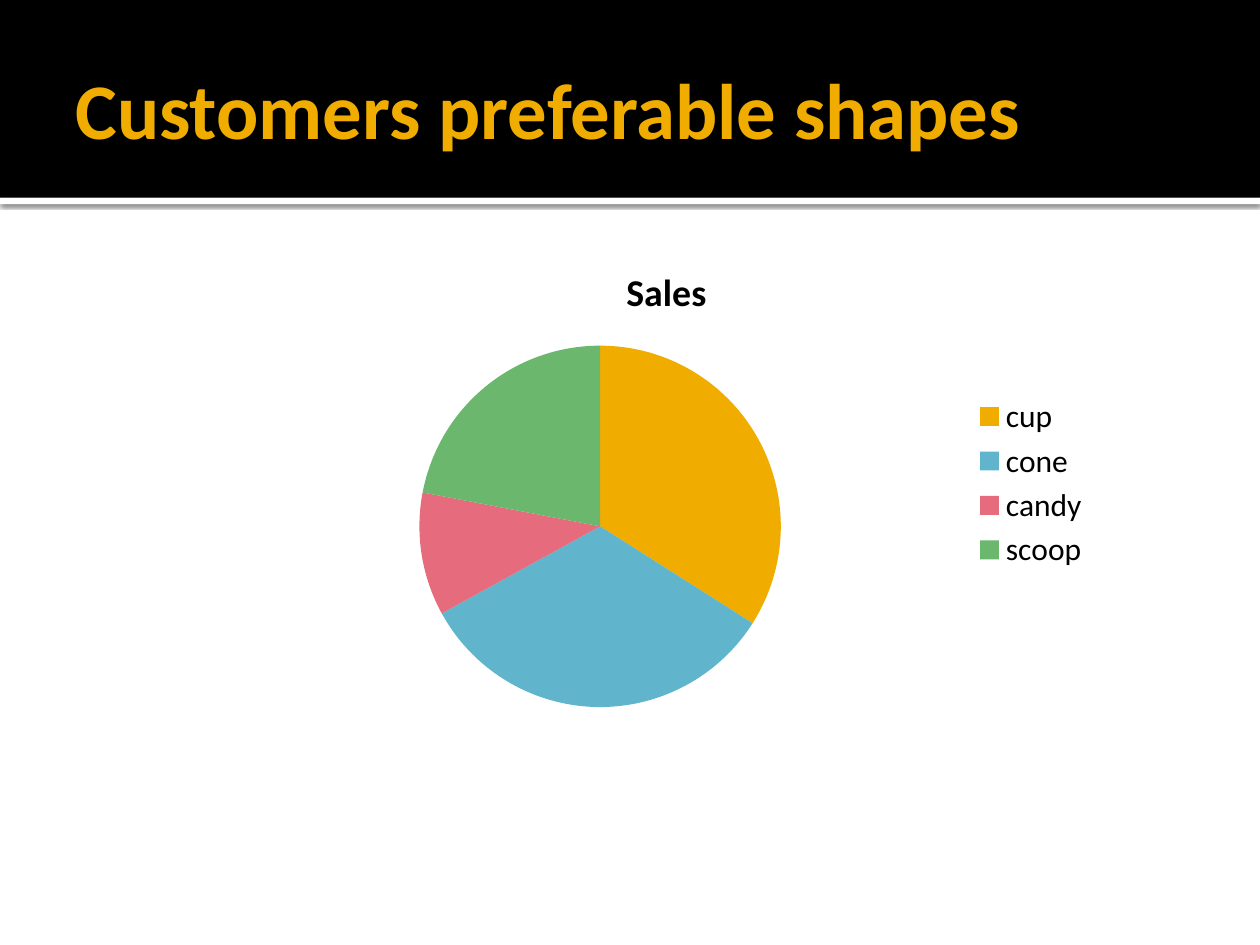
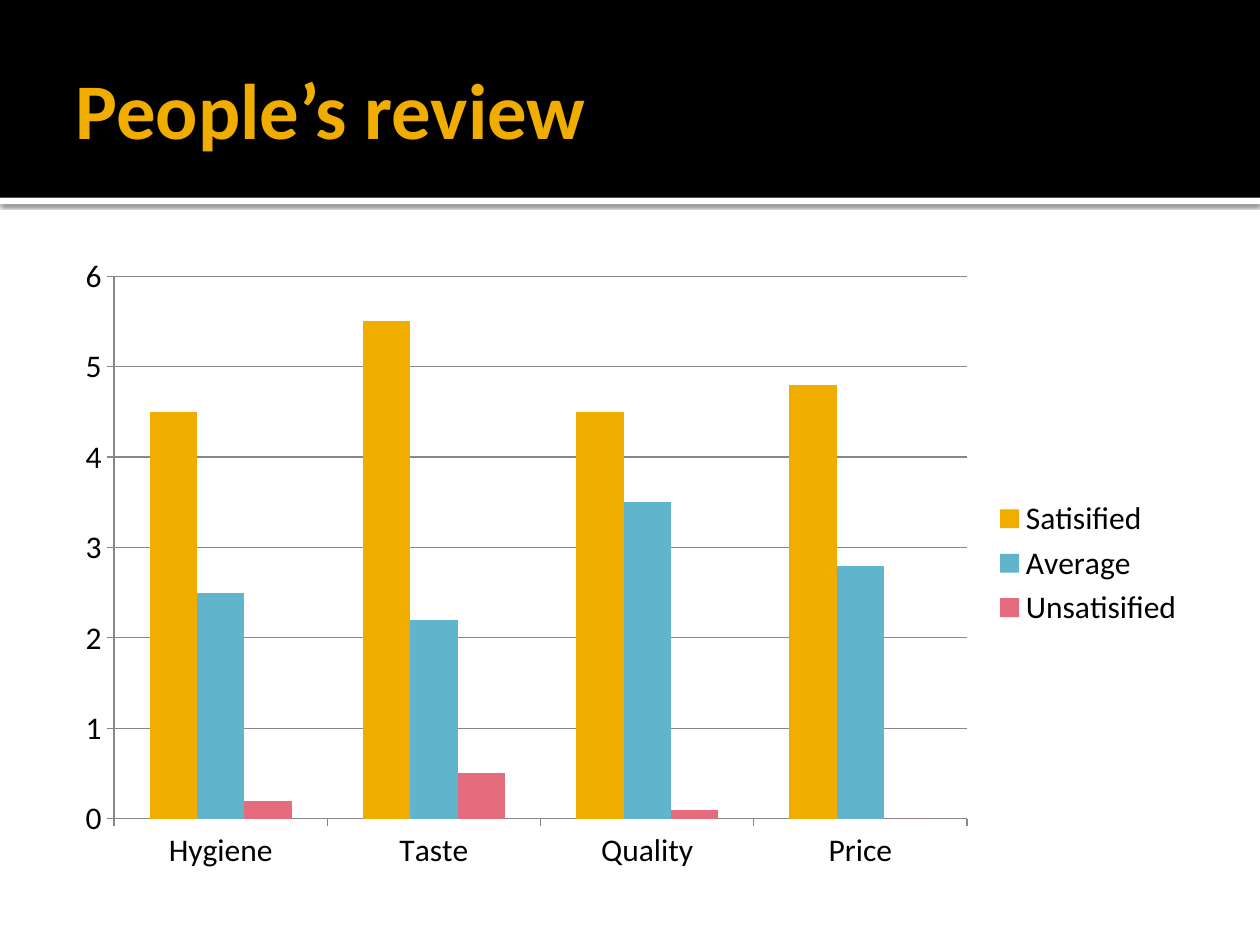
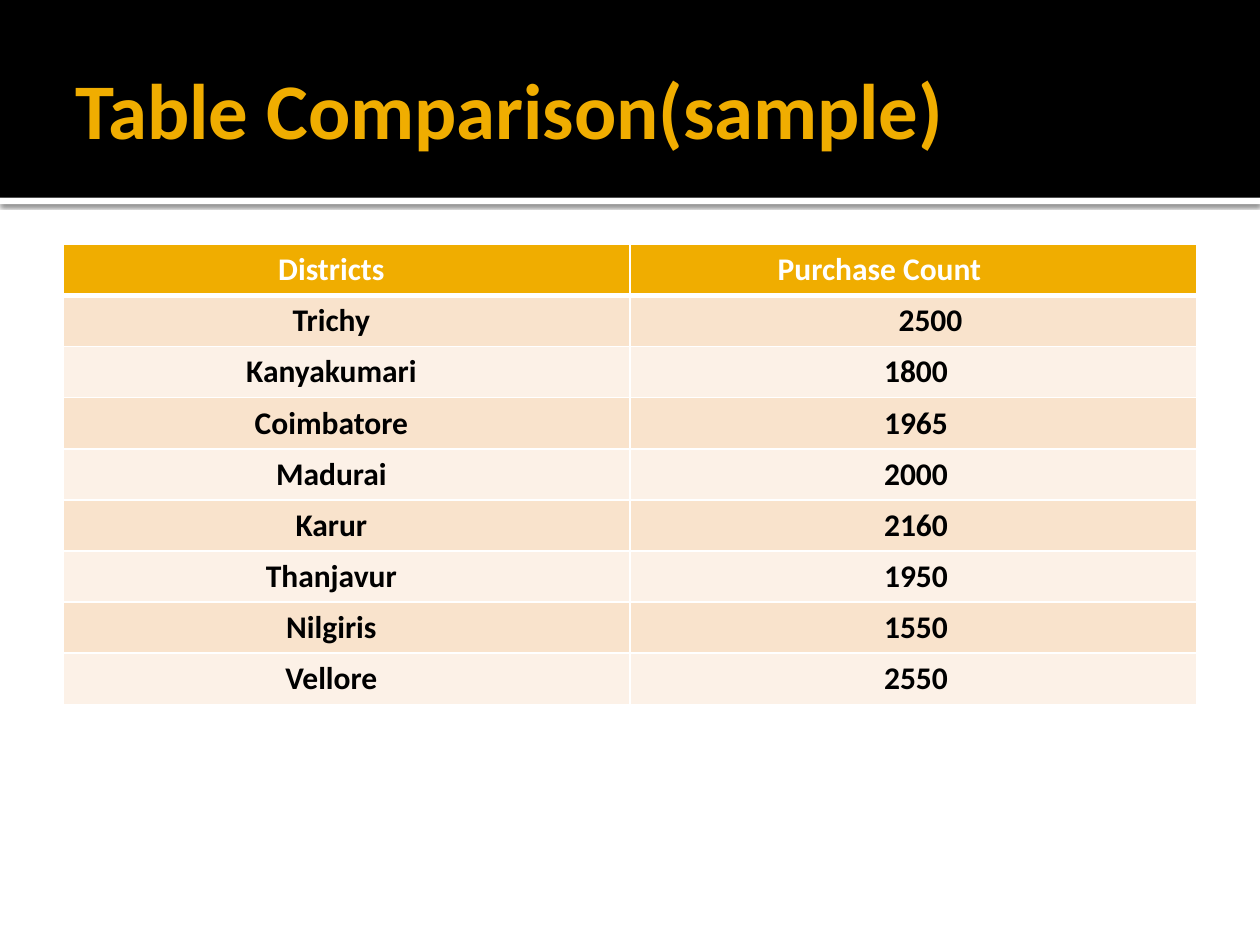
from pptx import Presentation
from pptx.chart.data import CategoryChartData
from pptx.dml.color import RGBColor
from pptx.enum.chart import XL_CHART_TYPE as CT, XL_LEGEND_POSITION as LP, XL_TICK_MARK as TM
from pptx.enum.shapes import MSO_SHAPE
from pptx.enum.text import MSO_ANCHOR, MSO_AUTO_SIZE, PP_ALIGN
from pptx.oxml import parse_xml
from pptx.oxml.ns import nsdecls
from pptx.util import Inches, Pt

FONT = "Calibri"
COLORS = {
    "black": "000000", "white": "FFFFFF", "gold": "F0AD00", "blue": "60B5CC",
    "pink": "E66C7D", "green": "6BB76D", "axis": "878787",
    "row_dark": "F9E3CC", "row_light": "FCF1E7",
}
SERIES = ["gold", "blue", "pink", "green"]
BAND_H = 1.57


def rgb(name):
    """Return the named colour."""
    return RGBColor.from_string(COLORS[name])


def style_font(font, size, color, bold=False):
    """Apply the deck font with a size, colour and weight."""
    font.name, font.size, font.bold = FONT, Pt(size), bold
    font.color.rgb = rgb(color)


class Deck:
    """The deck's style and its current slide."""

    def __init__(self):
        """Start an empty 4:3 deck."""
        self.prs = Presentation()
        self.prs.slide_width, self.prs.slide_height = Inches(10), Inches(7.5)
        self.layout = self.prs.slide_layouts[5]
        self.s = None

    def slide(self, title):
        """Add a slide with a title on the black band."""
        first = self.s is None
        self.s = self.prs.slides.add_slide(self.layout)
        if first:
            self.bands()
        sp = self.s.shapes.title
        sp.left, sp.top, sp.width, sp.height = map(Inches, (0.5, 0.17, 9, 1.37))
        tf = sp.text_frame
        tf.word_wrap, tf.auto_size = True, MSO_AUTO_SIZE.NONE
        tf.vertical_anchor = MSO_ANCHOR.MIDDLE
        tf.margin_left = Inches(0.1)
        tf.margin_top = tf.margin_right = tf.margin_bottom = Inches(0.05)
        self.text(tf, title, 45, "gold", PP_ALIGN.LEFT)

    def text(self, tf, text, size, color, align):
        """Write one bold run into a text frame."""
        p = tf.paragraphs[0]
        p.alignment = align
        r = p.add_run()
        r.text = text
        style_font(r.font, size, color, True)

    def bands(self):
        """Put the title band and the shadowed rule on the shared layout."""
        rule = self.rect(BAND_H, 0.05, "white")
        band = self.rect(0, BAND_H, "black")
        effects = rule.element.spPr.find("{*}effectLst")
        effects.append(parse_xml(
            f'<a:outerShdw {nsdecls("a")} blurRad="{Pt(2.5)}" dist="{Pt(0.8)}" '
            f'dir="5400000" rotWithShape="0"><a:srgbClr val="{COLORS["black"]}">'
            '<a:alpha val="60000"/></a:srgbClr></a:outerShdw>'))
        tree = self.layout.shapes.element
        for i, sp in enumerate((rule, band)):
            tree.insert(2 + i, sp.element)

    def rect(self, top, height, color):
        """Add a full-width plain rectangle."""
        sp = self.s.shapes.add_shape(
            MSO_SHAPE.RECTANGLE, 0, Inches(top), Inches(10), Inches(height))
        sp.shadow.inherit = False
        sp.fill.solid()
        sp.fill.fore_color.rgb = rgb(color)
        sp.line.fill.background()
        return sp

    def chart(self, kind, box, cats, series):
        """Add a chart with a legend on the right."""
        data = CategoryChartData()
        data.categories = cats
        for name, vals in series:
            data.add_series(name, vals)
        chart = self.s.shapes.add_chart(kind, *map(Inches, box), data).chart
        style_font(chart.font, 18, "black")
        chart.has_legend = True
        chart.legend.position = LP.RIGHT
        chart.legend.include_in_layout = False
        return chart

    def fill_parts(self, parts):
        """Colour series or points in palette order."""
        for part, color in zip(parts, SERIES):
            part.format.fill.solid()
            part.format.fill.fore_color.rgb = rgb(color)

    def pie(self, box, title, cats, vals):
        """Add a titled pie chart."""
        chart = self.chart(CT.PIE, box, cats, [(title, vals)])
        chart.has_title = True
        self.text(chart.chart_title.text_frame, title, 21.6, "black", None)
        chart.chart_title.include_in_layout = False
        plot = chart.plots[0]
        plot.vary_by_categories = True
        self.fill_parts(plot.series[0].points[i] for i in range(len(vals)))

    def columns(self, box, cats, series):
        """Add a clustered column chart with gridlines."""
        chart = self.chart(CT.COLUMN_CLUSTERED, box, cats, series)
        chart.has_title = False
        plot = chart.plots[0]
        plot.gap_width, plot.overlap = 150, 0
        plot.vary_by_categories = False
        self.fill_parts(plot.series)
        val = chart.value_axis
        val.minimum_scale, val.maximum_scale, val.major_unit = 0, 6, 1
        val.has_major_gridlines = True
        for axis in (val, chart.category_axis):
            axis.major_tick_mark, axis.minor_tick_mark = TM.OUTSIDE, TM.NONE
        for part in (val, chart.category_axis, val.major_gridlines):
            part.format.line.color.rgb = rgb("axis")
            part.format.line.width = Pt(0.75)

    def table(self, box, rows, shifts):
        """Add a banded table; shifts maps (row, column) to an off-centre inset."""
        tbl = self.s.shapes.add_table(
            len(rows), len(rows[0]), *map(Inches, box)).table
        for i, row in enumerate(rows):
            fill = "gold" if i == 0 else "row_dark" if i % 2 else "row_light"
            for j, text in enumerate(row):
                cell = tbl.cell(i, j)
                cell.fill.solid()
                cell.fill.fore_color.rgb = rgb(fill)
                shift = shifts.get((i, j), shifts[j])
                cell.margin_left = Inches(0.1 + max(shift, 0))
                cell.margin_right = Inches(0.1 + max(-shift, 0))
                self.text(cell.text_frame, text, 18,
                          "black" if i else "white", PP_ALIGN.CENTER)
                self.borders(cell, top=3 if i == 1 else 1, bottom=1 if i else 3)

    def borders(self, cell, top, bottom):
        """Draw white borders around a cell."""
        tc_pr = cell._tc.get_or_add_tcPr()
        widths = {"L": 1, "R": 1, "T": top, "B": bottom}
        for i, (side, width) in enumerate(widths.items()):
            tc_pr.insert(i, parse_xml(
                f'<a:ln{side} {nsdecls("a")} w="{Pt(width)}"><a:solidFill>'
                f'<a:srgbClr val="{COLORS["white"]}"/></a:solidFill></a:ln{side}>'))


deck = Deck()

deck.slide("Customers preferable shapes")
deck.pie((1.83, 1.92, 6.92, 3.83), "Sales",
         ["cup", "cone", "candy", "scoop"], [34, 33, 11, 22])

deck.slide("People’s review")
deck.columns((0.5, 1.94, 9, 5.06), ["Hygiene", "Taste", "Quality", "Price"], [
    ("Satisified", [4.5, 5.5, 4.5, 4.8]),
    ("Average", [2.5, 2.2, 3.5, 2.8]),
    ("Unsatisified", [0.2, 0.5, 0.1, 0]),
])

deck.slide("Table Comparison(sample)")
deck.table((0.5, 1.94, 9, 3.65), [
    ("Districts", "Purchase Count"),
    ("Trichy", "2500"),
    ("Kanyakumari", "1800"),
    ("Coimbatore", "1965"),
    ("Madurai", "2000"),
    ("Karur", "2160"),
    ("Thanjavur", "1950"),
    ("Nilgiris", "1550"),
    ("Vellore", "2550"),
], {0: -0.24, 1: 0.04, (0, 1): -0.54, (1, 1): 0.27})

deck.prs.save("out.pptx")
